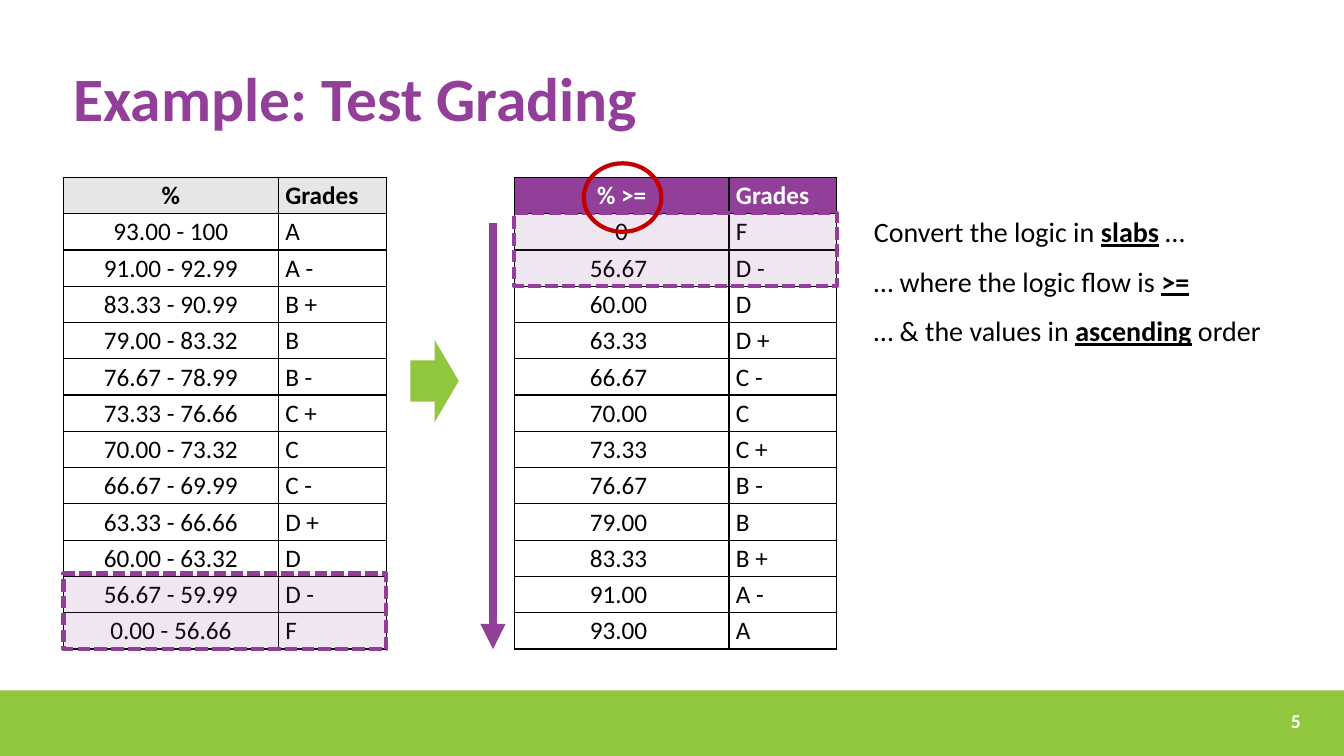
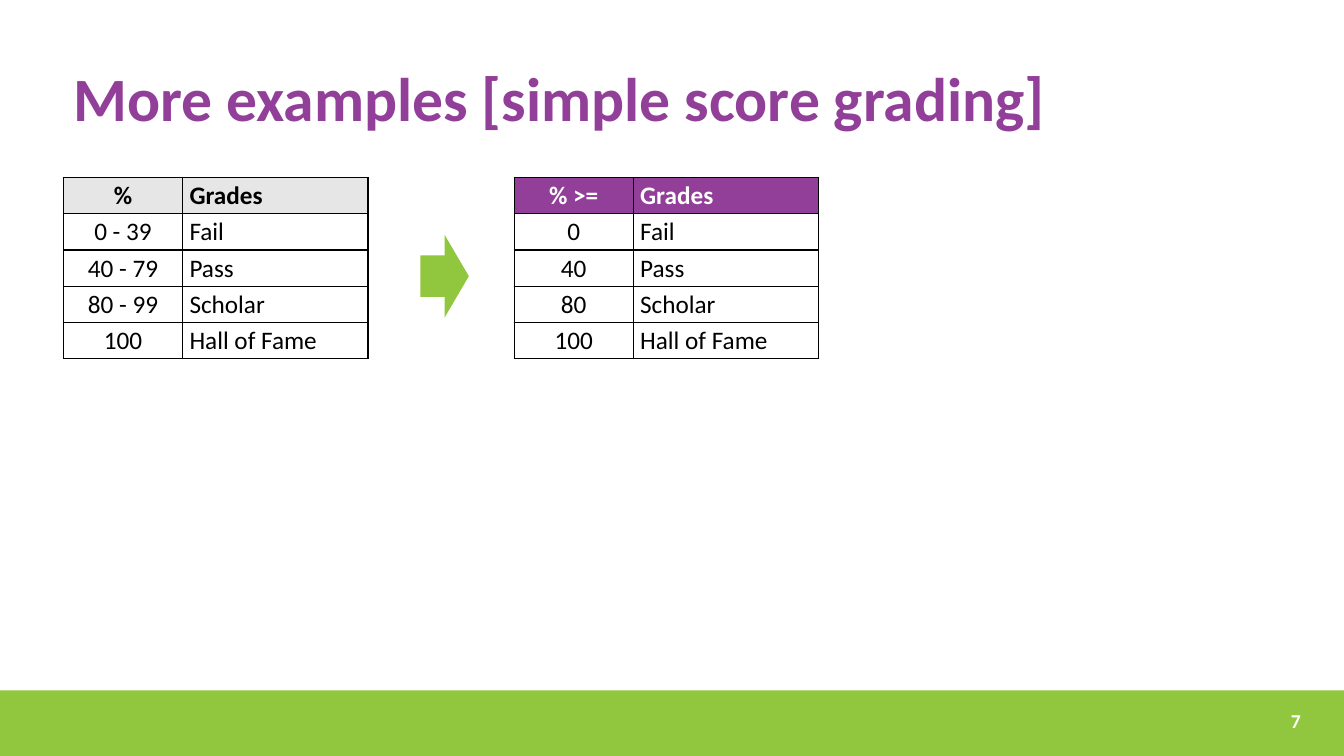
from lxml import etree
from pptx import Presentation
from pptx.dml.color import RGBColor
from pptx.enum import dml, shapes, text
from pptx.oxml import ns
from pptx.util import Inches, Pt

PURPLE = RGBColor(0x91, 0x3F, 0x98)
GREEN = RGBColor(0x91, 0xC7, 0x3E)
RED = RGBColor(0xC0, 0, 0)
PALE = RGBColor(0xE7, 0xE6, 0xE6)
BLACK = RGBColor(0, 0, 0)
WHITE = RGBColor(0xFF, 0xFF, 0xFF)
FONT = "Calibri"
LEFT, MID, TOP, ROW = 0.63, 5.1, 1.76, 0.36
SHAPE = shapes.MSO_SHAPE
ALIGN = text.PP_ALIGN
MIDDLE = text.MSO_ANCHOR.MIDDLE


def sub(node, tag, **attrs):
    """Append a drawing element to a node."""
    return etree.SubElement(node, ns.qn(tag), attrs)


def style(para, size, color, bold=False, align=ALIGN.LEFT):
    """Set the font and alignment of a paragraph."""
    font = para.font
    font.name, font.size, font.bold = FONT, Pt(size), bold
    font.color.rgb = color
    para.alignment = align


def label(slide, box, runs, size, color, bold=False, align=ALIGN.LEFT,
          anchor=MIDDLE):
    """Add a one-paragraph text box; runs are (words, stressed) pairs."""
    frame = slide.shapes.add_textbox(*map(Inches, box)).text_frame
    frame.word_wrap = True
    frame.vertical_anchor = anchor
    para = frame.paragraphs[0]
    style(para, size, color, bold, align)
    for words, stress in runs:
        run = para.add_run()
        run.text = words
        if stress:
            run.font.bold = run.font.underline = True
    return para


def figure(slide, kind, box, fill=None, line=None):
    """Add a flat preset shape with an optional fill and 3 pt outline."""
    shape = slide.shapes.add_shape(kind, *map(Inches, box))
    shape.shadow.inherit = False
    if fill is None:
        shape.fill.background()
    else:
        shape.fill.solid()
        shape.fill.fore_color.rgb = fill
    if line is None:
        shape.line.fill.background()
    else:
        shape.line.color.rgb = line
        shape.line.width = Pt(3)
    return shape


def frame(deck, title, number):
    """Add a slide with its title, footer band and page number."""
    slide = deck.slides.add_slide(deck.slide_layouts[6])
    figure(slide, SHAPE.RECTANGLE, (0, 6.85, 13.33, 0.65), GREEN)
    head = label(slide, (LEFT, 0.53, 12.08, 0.95), [(title, False)],
                 44, PURPLE, True)
    head.line_spacing = 0.9
    label(slide, (10, 6.95, 3, 0.4), [(str(number), False)], 14, WHITE,
          True, ALIGN.RIGHT)
    return slide


def border(cell):
    """Draw a thin black line on every side of a cell."""
    props = cell._tc.get_or_add_tcPr()
    for side in "LRTB":
        line = sub(props, "a:ln" + side, w=str(Pt(1)))
        sub(sub(line, "a:solidFill"), "a:srgbClr", val=str(BLACK))


def grid(slide, left, widths, rows, fill, ink, inset=0.01):
    """Add a grade table; inset is the right margin of its number cells."""
    table = slide.shapes.add_table(
        len(rows), len(widths), Inches(left), Inches(TOP),
        Inches(sum(widths)), Inches(ROW * len(rows))).table
    table.first_row = table.horz_banding = False
    for col, width in zip(table.columns, widths):
        col.width = Inches(width)
    for i, row in enumerate(rows):
        table.rows[i].height = Inches(ROW)
        for j, words in enumerate(row):
            cell = table.cell(i, j)
            border(cell)
            cell.vertical_anchor = MIDDLE
            cell.margin_left = Inches(0.07 if j else 0.01)
            cell.margin_right = Inches(inset if "." in words else 0.01)
            cell.margin_top = Inches(0.01)
            cell.margin_bottom = 0
            if i:
                cell.fill.background()
            else:
                cell.fill.solid()
                cell.fill.fore_color.rgb = fill
            cell.text = words
            style(cell.text_frame.paragraphs[0], 18, BLACK if i else ink,
                  i == 0, ALIGN.LEFT if j else ALIGN.CENTER)


def pair(slide, widths, bands, slabs, arrow):
    """Place the band table, the slab table and the arrow between them."""
    grid(slide, LEFT, widths, [("%", "Grades")] + bands, PALE, BLACK)
    grid(slide, MID, widths, [("% >=", "Grades")] + slabs, PURPLE, WHITE,
         0.07)
    figure(slide, SHAPE.RIGHT_ARROW, (*arrow, 0.48, 0.82), GREEN)


def mark(slide, box):
    """Lay a dashed, see-through highlight over table rows."""
    shape = figure(slide, SHAPE.RECTANGLE, box, PURPLE, PURPLE)
    shape.line.dash_style = dml.MSO_LINE.SQUARE_DOT
    color = shape._element.spPr.find(ns.qn("a:solidFill"))[0]
    sub(color, "a:alpha", val="13000")


def flow(slide, x, top, end):
    """Draw the thick downward arrow beside the slab table."""
    line = slide.shapes.add_connector(
        shapes.MSO_CONNECTOR.STRAIGHT, *map(Inches, (x, top, x, end)))
    line.line.color.rgb = PURPLE
    line.line.width = Pt(6)
    sub(line.line._get_or_add_ln(), "a:tailEnd", type="triangle")
    sub(line._element.spPr, "a:effectLst")


def notes(slide, box, lines):
    """Stack lines of text at an even pitch; box is left, top, width, pitch."""
    left, top, width, pitch = box
    for i, runs in enumerate(lines):
        label(slide, (left, top + i * pitch, width, 0.44), runs, 20, BLACK,
              anchor=text.MSO_ANCHOR.TOP)


def tests(deck):
    """Build the test grading slide."""
    slide = frame(deck, "Example: Test Grading", 5)
    bands = [
        ("93.00 - 100", "A"), ("91.00 - 92.99", "A -"),
        ("83.33 - 90.99", "B +"), ("79.00 - 83.32", "B"),
        ("76.67 - 78.99", "B -"), ("73.33 - 76.66", "C +"),
        ("70.00 - 73.32", "C"), ("66.67 - 69.99", "C -"),
        ("63.33 - 66.66", "D +"), ("60.00 - 63.32", "D"),
        ("56.67 - 59.99", "D -"), ("0.00 - 56.66", "F")]
    slabs = [(span.split(" - ")[0], grade) for span, grade in bands[::-1]]
    slabs[0] = ("0", "F")
    pair(slide, (2.13, 1.07), bands, slabs, (4.07, 3.37))
    flow(slide, 4.89, 2.21, 6.44)
    mark(slide, (LEFT, 5.69, 3.2, 0.75))
    mark(slide, (MID, 2.11, 3.2, 0.73))
    notes(slide, (8.57, 2.08, 4.26, 0.49), [
        [("Convert the logic in ", False), ("slabs", True), (" …", False)],
        [("… where the logic flow is ", False), (">=", True)],
        [("… & the values in ", False), ("ascending", True),
         (" order", False)]])
    figure(slide, SHAPE.OVAL, (5.79, 1.62, 0.77, 0.68), line=RED)


def scores(deck):
    """Build the simple score grading slide."""
    slide = frame(deck, "More examples [simple score grading]", 7)
    bands = [("0 - 39", "Fail"), ("40 - 79", "Pass"),
             ("80 - 99", "Scholar"), ("100", "Hall of Fame")]
    slabs = [(span.split(" - ")[0], grade) for span, grade in bands]
    pair(slide, (1.18, 1.84), bands, slabs, (4.17, 2.33))


deck = Presentation()
deck.slide_width, deck.slide_height = Inches(13.33), Inches(7.5)
tests(deck)
scores(deck)
deck.save("out.pptx")
